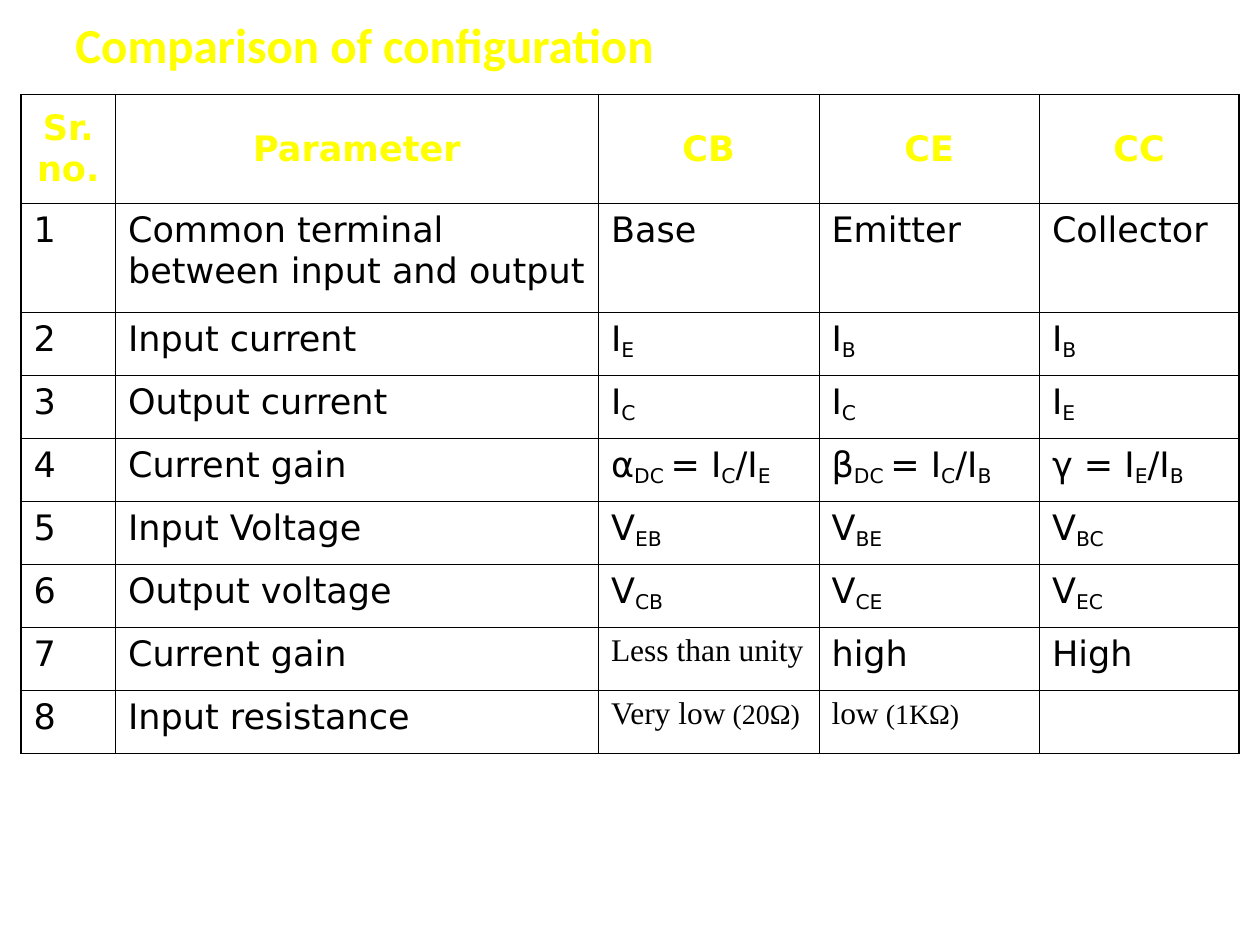
"""Build the slide comparing the CB, CE and CC transistor configurations."""
import pptx
import pptx.dml.color
import pptx.enum.text
import pptx.oxml
import pptx.util
from dataclasses import dataclass

PX = 9525


@dataclass(frozen=True)
class Theme:
    head: str = "FFFF00"
    ink: str = "000000"
    title: str = "Calibri"
    sans: str = "DejaVu Sans"
    serif: str = "Times New Roman"
    big: int = 28
    body: int = 20
    note: int = 18
    small: int = 16
    thin: float = 0.45
    thick: float = 1.08


theme = Theme()


def style(run, face, size, color, bold=False):
    run.font.name = face
    run.font.size = pptx.util.Pt(size)
    run.font.bold = bold
    run.font.color.rgb = pptx.dml.color.RGBColor.from_string(color)


def border(cell, side, width):
    line = pptx.oxml.parse_xml(
        '<a:ln%s xmlns:a="http://schemas.openxmlformats.org/drawingml/2006/main" w="%d">'
        '<a:solidFill><a:srgbClr val="%s"/></a:solidFill></a:ln%s>'
        % (side, pptx.util.Pt(width), theme.ink, side))
    cell._tc.get_or_add_tcPr().append(line)


deck = pptx.Presentation()
deck.slide_width, deck.slide_height = 960 * PX, 720 * PX
slide = deck.slides.add_slide(deck.slide_layouts[6])

title = slide.shapes.add_textbox(48 * PX, 8 * PX, 864 * PX, 51 * PX)
frame = title.text_frame
frame.word_wrap = True
frame.vertical_anchor = pptx.enum.text.MSO_ANCHOR.MIDDLE
frame.text = "Comparison of configuration"
style(frame.paragraphs[0].runs[0], theme.title, theme.big, theme.head, True)

rows = [
    ("Sr.no.", "Parameter", "CB", "CE", "CC"),
    ("1", "Common terminal between input and output", "Base", "Emitter", "Collector"),
    ("2", "Input current", "I~E", "I~B", "I~B"),
    ("3", "Output current", "I~C", "I~C", "I~E"),
    ("4", "Current gain", "α~DC ~= I~C~/I~E", "β~DC ~= I~C~/I~B", "γ = I~E~/I~B"),
    ("5", "Input Voltage", "V~EB", "V~BE", "V~BC"),
    ("6", "Output voltage", "V~CB", "V~CE", "V~EC"),
    ("7", "Current gain", "Less than unity", "high", "High"),
    ("8", "Input resistance", "Very low~ (20Ω)", "low~ (1KΩ)", ""),
]
serif = {(7, 2), (8, 2), (8, 3)}
wide = [72, 368, 168, 168, 152]
tall = [83, 83] + [48] * 7
last_row, last_col = len(tall) - 1, len(wide) - 1

shape = slide.shapes.add_table(
    len(tall), len(wide), 16 * PX, 72 * PX, sum(wide) * PX, sum(tall) * PX)
table = shape.table
table.first_row = table.horz_banding = False
for col, width in zip(table.columns, wide):
    col.width = width * PX
for row, height in zip(table.rows, tall):
    row.height = height * PX

for r, texts in enumerate(rows):
    for c, text in enumerate(texts):
        cell = table.cell(r, c)
        edges = {"L": c == 0, "R": c == last_col, "T": r == 0, "B": r == last_row}
        for side, outer in edges.items():
            border(cell, side, theme.thick if outer else theme.thin)
        cell.fill.background()
        para = cell.text_frame.paragraphs[0]
        if r == 0:
            cell.vertical_anchor = pptx.enum.text.MSO_ANCHOR.MIDDLE
            para.alignment = pptx.enum.text.PP_ALIGN.CENTER
        if not text:
            continue
        for n, part in enumerate(text.split("~")):
            run = para.add_run()
            run.text = part
            if (r, c) in serif:
                style(run, theme.serif, theme.small if n else theme.note, theme.ink)
            else:
                style(run, theme.sans, theme.body, theme.ink if r else theme.head, r == 0)
                if n % 2:
                    run.font._element.set("baseline", "-18000")

deck.save("out.pptx")
